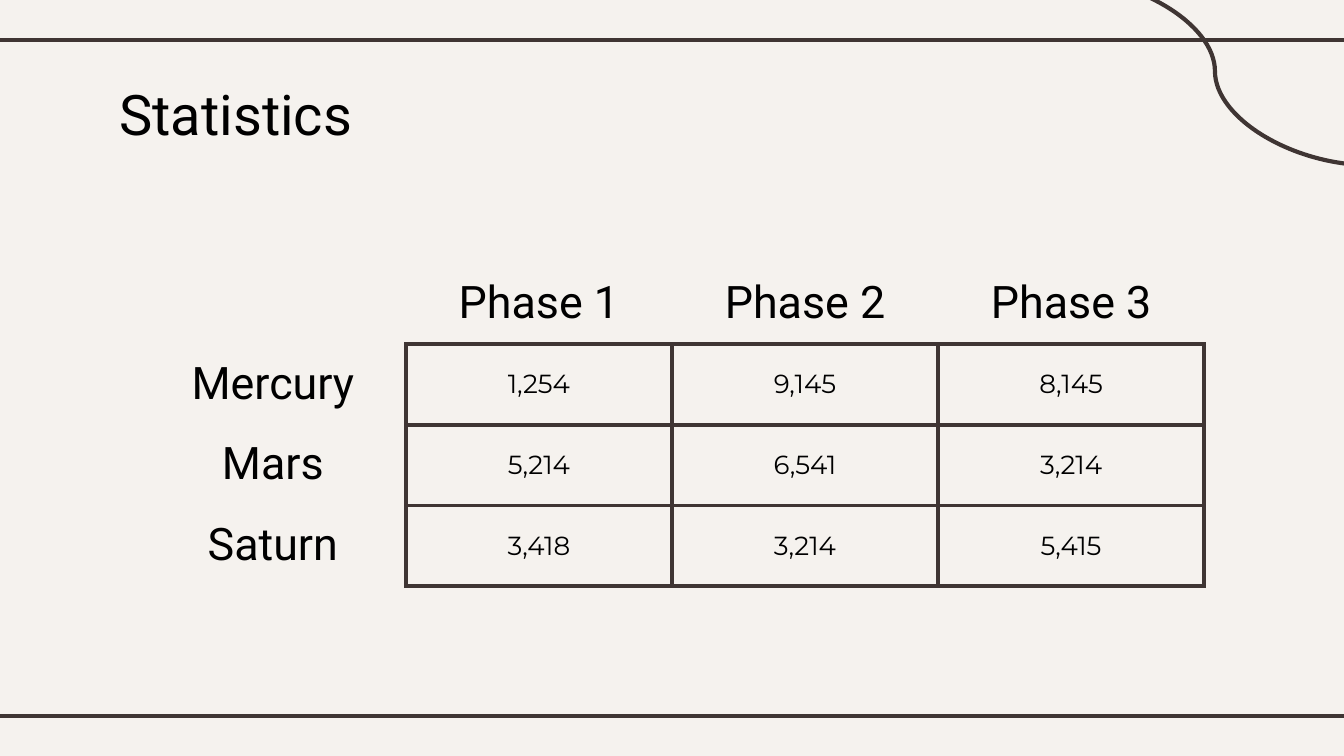
import pptx
import pptx.util
import pptx.dml.color
import pptx.enum.shapes
import pptx.enum.text
import pptx.oxml
import pptx.oxml.ns
from pptx.util import Inches

# Content
TITLE = "Statistics"
ROWS = [
    ("", "Phase 1", "Phase 2", "Phase 3"),
    ("Mercury", "1,254", "9,145", "8,145"),
    ("Mars", "5,214", "6,541", "3,214"),
    ("Saturn", "3,418", "3,214", "5,415"),
]

# Style
PAPER, INK, BLACK = "F5F2EE", "3F3533", "000000"
HEAD, BODY = "Roboto", "Montserrat"
WIDTH = pptx.util.Pt(2.25)
STRAIGHT = pptx.enum.shapes.MSO_CONNECTOR.STRAIGHT
CURVE = pptx.enum.shapes.MSO_CONNECTOR.CURVE
LINES = [
    (STRAIGHT, -0.08, 0.3, 10.08, 0.3),
    (STRAIGHT, -0.08, 5.33, 10.08, 5.33),
    (CURVE, 7.88, -0.17, 10.2, 1.23),
]


def color(code):
    return pptx.dml.color.RGBColor.from_string(code)


def style(par, face, size):
    par.font.name = face
    par.font.size = pptx.util.Pt(size)
    par.font.color.rgb = color(BLACK)


def pad(box):
    box.margin_left = box.margin_right = Inches(0.1)
    box.margin_top = box.margin_bottom = Inches(0.1)


def draw(slide, kind, *ends):
    line = slide.shapes.add_connector(kind, *map(Inches, ends))
    line.line.color.rgb = color(INK)
    line.line.width = WIDTH
    props = line._element.spPr
    props.append(pptx.oxml.parse_xml(
        f'<a:effectLst {pptx.oxml.ns.nsdecls("a")}/>'))


def border(cell, side, shown):
    fill = (f'<a:solidFill><a:srgbClr val="{INK}"/></a:solidFill>'
            if shown else "<a:noFill/>")
    cell._tc.get_or_add_tcPr().append(pptx.oxml.parse_xml(
        f'<a:ln{side} {pptx.oxml.ns.nsdecls("a")} w="{int(WIDTH)}">'
        f'{fill}</a:ln{side}>'))


# A 16:9 slide
deck = pptx.Presentation()
deck.slide_width = Inches(10)
deck.slide_height = Inches(10 * 9 / 16)
slide = deck.slides.add_slide(deck.slide_layouts[6])
slide.background.fill.solid()
slide.background.fill.fore_color.rgb = color(PAPER)

# Frame lines and corner curve
for line in LINES:
    draw(slide, *line)

# Title
frame = slide.shapes.add_textbox(
    Inches(0.79), Inches(0.49), Inches(8.44), Inches(0.63)).text_frame
frame.word_wrap = True
frame.vertical_anchor = pptx.enum.text.MSO_ANCHOR.TOP
pad(frame)
frame.text = TITLE
style(frame.paragraphs[0], HEAD, 30)

# Table: rows grow to fit their text
grid = slide.shapes.add_table(
    len(ROWS), len(ROWS[0]), Inches(1.04), Inches(1.96),
    Inches(7.92), Inches(2.4))
table = grid.table
table.first_row = table.horz_banding = False
for line in table.rows:
    line.height = Inches(0.42)
grid.height = Inches(2.4)

for r, row in enumerate(ROWS):
    for c, text in enumerate(row):
        cell = table.cell(r, c)
        inner = r > 0 and c > 0
        # Only edges that touch a value cell are drawn
        for side, shown in (("L", inner), ("R", r > 0),
                            ("T", inner), ("B", c > 0)):
            border(cell, side, shown)
        cell.fill.background()
        pad(cell)
        cell.text = text
        par = cell.text_frame.paragraphs[0]
        par.alignment = pptx.enum.text.PP_ALIGN.CENTER
        if inner:
            cell.vertical_anchor = pptx.enum.text.MSO_ANCHOR.MIDDLE
            style(par, BODY, 14)
        else:
            style(par, HEAD, 24)

deck.save("out.pptx")
